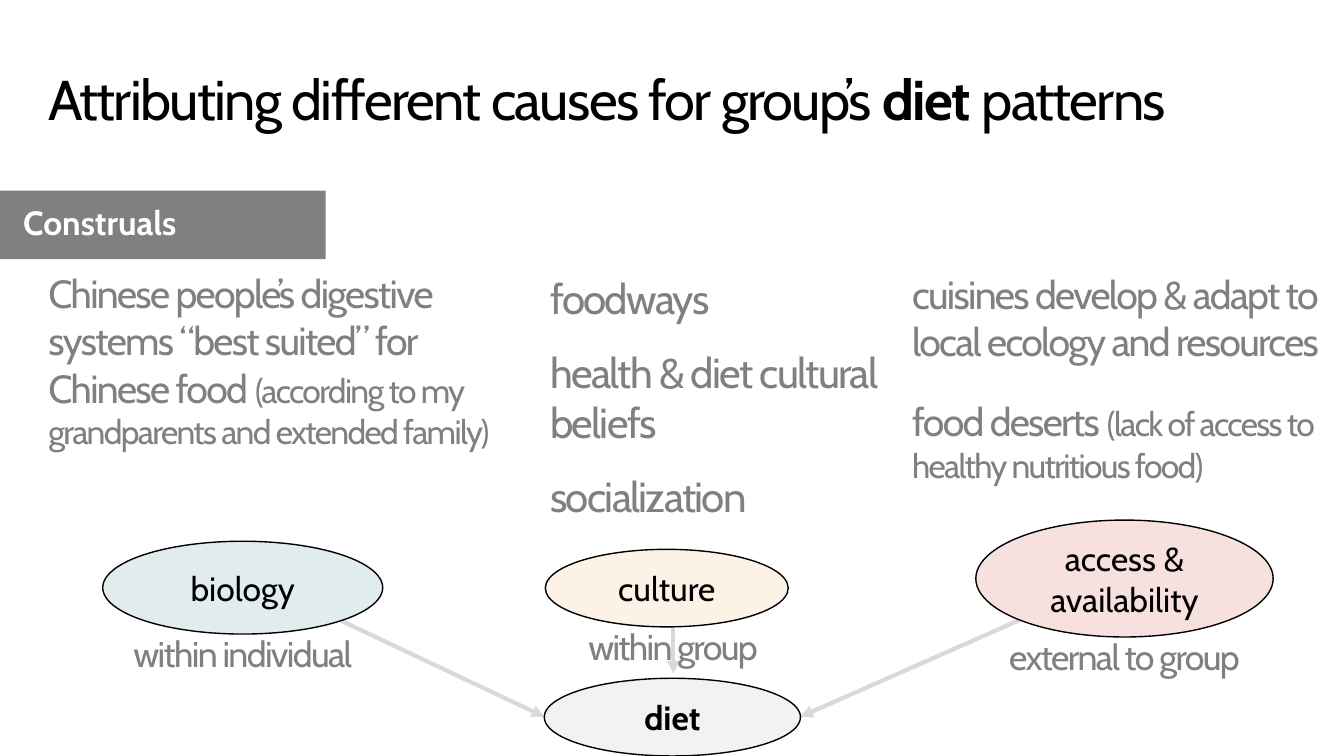
import dataclasses

import pptx
import pptx.dml.color
import pptx.enum.shapes
import pptx.enum.text
import pptx.oxml
import pptx.oxml.ns
import pptx.util

Pt = pptx.util.Pt
Shape = pptx.enum.shapes.MSO_SHAPE
Align = pptx.enum.text.PP_ALIGN


@dataclasses.dataclass(frozen=True)
class Theme:
    font: str = "Cabin"
    ink: str = "000000"
    grey: str = "808080"
    white: str = "FFFFFF"
    arrow: str = "D9D9D9"
    outcome: str = "F2F2F2"
    biology: str = "9CC3CC"
    culture: str = "F2BF80"
    access: str = "D9695F"
    title_size: float = 40
    list_size: float = 30
    body_size: float = 28
    caption_size: float = 25.5
    small_size: float = 24
    tight: float = -1.2


@dataclasses.dataclass(frozen=True)
class Cause:
    label: str
    caption: str
    box: tuple
    colour: str
    opacity: int
    arrow: tuple
    caption_shift: float = 0


THEME = Theme()
OUTCOME_BOX = (388.8, 484.5, 183, 55.5)
CAUSES = [
    Cause("access & availability", "external to group", (697, 371.5, 212.4, 83.5),
          THEME.access, 20, (728, 443, 571.7, 512)),
    Cause("biology", "within individual", (73.4, 386.6, 200, 66.3),
          THEME.biology, 30, (244, 443.5, 388.8, 512)),
    Cause("culture", "within group", (389.5, 392.4, 173.5, 55.4),
          THEME.culture, 20, (481, 447, 481, 481), 4.5),
]


def rgb(code):
    return pptx.dml.color.RGBColor.from_string(code)


def add_xml(parent, tag, **attributes):
    element = pptx.oxml.parse_xml(f"<a:{tag} {pptx.oxml.ns.nsdecls('a')}/>")
    for name, value in attributes.items():
        element.set(name, str(value))
    parent.append(element)


def style_span(span, size, colour, bold=False, spacing=0):
    span.font.name = THEME.font
    span.font.size = Pt(size)
    span.font.bold = bold
    span.font.color.rgb = rgb(colour)
    if spacing:
        span.font._element.set("spc", str(round(spacing * 100)))


def add_text(page, box, paragraphs, colour=THEME.grey, align=Align.LEFT, gap=0, line=1):
    """Each paragraph is a list of (text, size, bold) spans."""
    frame = page.shapes.add_textbox(*map(Pt, box)).text_frame
    frame.word_wrap = True
    frame.vertical_anchor = pptx.enum.text.MSO_ANCHOR.MIDDLE
    for index, spans in enumerate(paragraphs):
        para = frame.paragraphs[0] if index == 0 else frame.add_paragraph()
        para.alignment = align
        para.line_spacing = line
        if index:
            para.space_before = Pt(gap)
        for text, size, bold in spans:
            span = para.add_run()
            span.text = text
            style_span(span, size, colour, bold, THEME.tight)


def add_block(page, kind, box, text, fill, text_colour, bold=False, opacity=100):
    block = page.shapes.add_shape(kind, *map(Pt, box))
    block.shadow.inherit = False
    block.fill.solid()
    block.fill.fore_color.rgb = rgb(fill)
    if opacity < 100:
        colour = block.fill._xPr.find(".//" + pptx.oxml.ns.qn("a:srgbClr"))
        add_xml(colour, "alpha", val=opacity * 1000)
    block.text_frame.text = text
    block.text_frame.word_wrap = True
    block.text_frame.vertical_anchor = pptx.enum.text.MSO_ANCHOR.MIDDLE
    para = block.text_frame.paragraphs[0]
    para.alignment = Align.CENTER
    style_span(para.runs[0], THEME.small_size, text_colour, bold)
    return block


def add_oval(page, box, text, fill, bold=False, opacity=100):
    oval = add_block(page, Shape.OVAL, box, text, fill, THEME.ink, bold, opacity)
    oval.line.color.rgb = rgb(THEME.ink)
    oval.line.width = Pt(1)


def add_arrow(page, ends):
    arrow = page.shapes.add_connector(
        pptx.enum.shapes.MSO_CONNECTOR.STRAIGHT, *map(Pt, ends))
    arrow.line.color.rgb = rgb(THEME.arrow)
    arrow.line.width = Pt(3)
    add_xml(arrow.line._get_or_add_ln(), "tailEnd", type="triangle")
    add_xml(arrow._element.spPr, "effectLst")


def add_title(page, box):
    size = THEME.title_size
    add_text(page, box, [[("Attributing different causes for group’s ", size, False),
                          ("diet", size, True), (" patterns", size, False)]], THEME.ink)


def add_section_tag(page, box):
    tag = add_block(page, Shape.RECTANGLE, box, "Construals", THEME.grey, THEME.white, True)
    tag.line.fill.background()
    tag.text_frame.margin_left = Pt(16.6)
    para = tag.text_frame.paragraphs[0]
    para.alignment = Align.LEFT
    para.line_spacing = 0.85


def add_construals(page, top, height):
    """Three text columns, one above each cause."""
    body, small, item = THEME.body_size, THEME.small_size, THEME.list_size
    add_text(page, (27.4, top, 351.4, height), [[
        ("Chinese people’s digestive systems “best suited” for Chinese food ", body, False),
        ("(according to my grandparents and extended family)", small, False)]])
    add_text(page, (644.4, top + 12.2, 316, height), [
        [("cuisines develop & adapt to local ecology and resources", body, False)],
        [("food deserts ", body, False),
         ("(lack of access to healthy nutritious food)", small, False)]], gap=24)
    topics = ["foodways", "health & diet cultural beliefs", "socialization"]
    add_text(page, (386, top + 25.9, 252, height),
             [[(topic, item, False)] for topic in topics], gap=17)


def add_cause(page, cause):
    left, top, width, height = cause.box
    add_oval(page, cause.box, cause.label, cause.colour, opacity=cause.opacity)
    caption_width = 200
    caption_left = left + (width - caption_width) / 2 + cause.caption_shift
    add_text(page, (caption_left, top + height, caption_width, 33),
             [[(cause.caption, THEME.caption_size, False)]], align=Align.CENTER, line=0.8)


def add_diagram(page):
    for cause in CAUSES:
        add_arrow(page, cause.arrow)
    for cause in CAUSES:
        add_cause(page, cause)
    add_oval(page, OUTCOME_BOX, "diet", THEME.outcome, bold=True)


def main():
    deck = pptx.Presentation()
    deck.slide_width, deck.slide_height = Pt(960), Pt(540)
    page = deck.slides.add_slide(deck.slide_layouts[6])
    add_diagram(page)
    add_title(page, (27.4, 12.2, 819.4, 116))
    add_construals(page, 128.2, 258.5)
    add_section_tag(page, (0, 136.1, 232.6, 49))
    deck.save("out.pptx")


if __name__ == "__main__":
    main()
